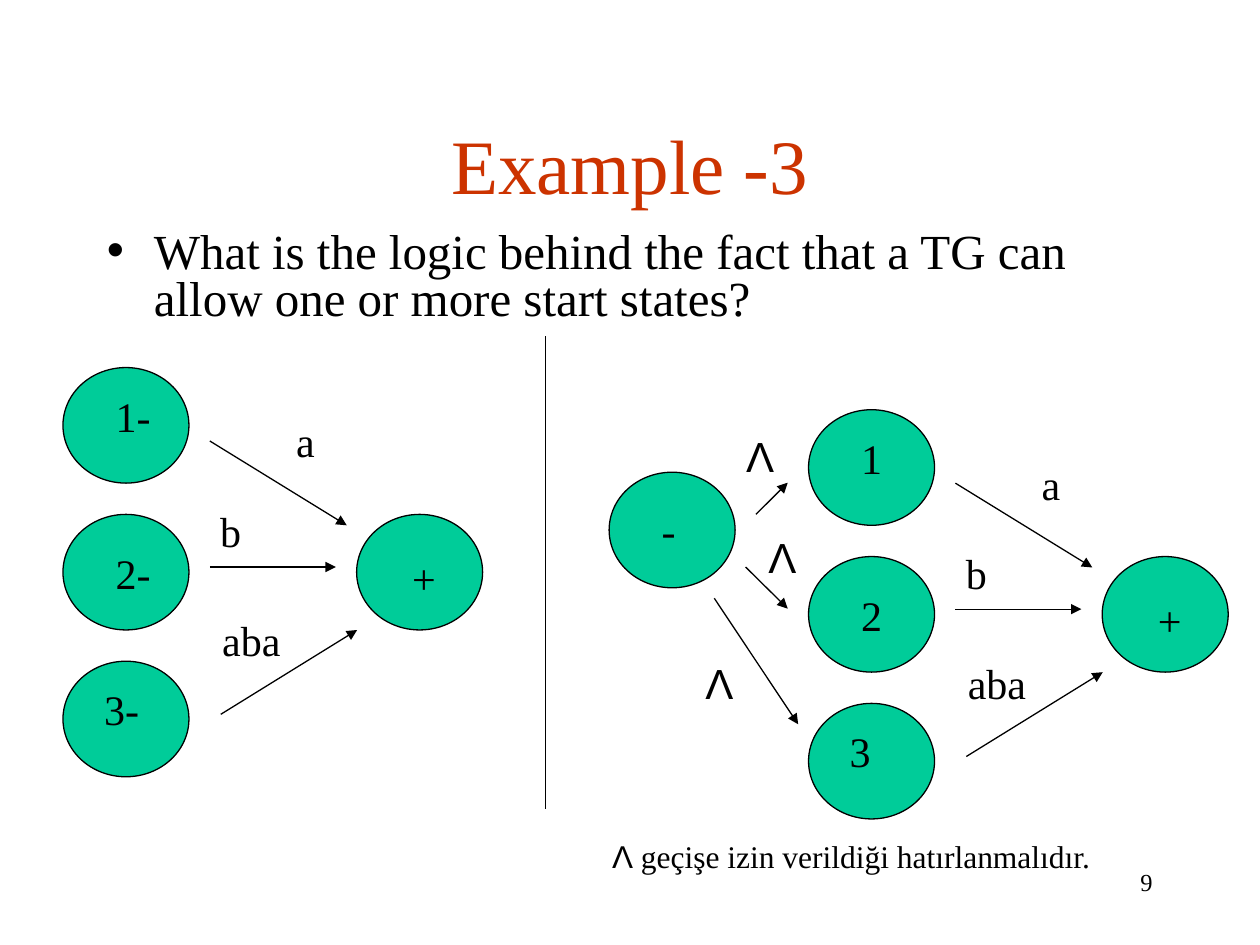
from dataclasses import dataclass

from lxml.etree import SubElement
from pptx import Presentation
from pptx.dml.color import RGBColor
from pptx.enum.shapes import MSO_CONNECTOR, MSO_SHAPE
from pptx.enum.text import MSO_ANCHOR, MSO_AUTO_SIZE, PP_ALIGN
from pptx.oxml.ns import qn
from pptx.util import Cm, Pt


@dataclass(frozen=True)
class Theme:
    """Colours, fonts and type sizes of the slide."""
    ink: str = "000000"
    heading: str = "CC3300"
    state: str = "00CC99"
    serif: str = "Times New Roman"
    sans: str = "Arial"
    title: int = 44
    body: int = 28
    label: int = 24
    note: int = 18
    number: int = 14
    stroke: float = 0.75


THEME = Theme()
STATE_SIZE = (2.54, 2.33)
STATE_STEP = 2.96
LABEL_HEIGHT = 1.27
GLYPH_WIDTHS = {"-": 0.28, "+": 0.48, "a": 0.38, "Λ": 0.57}


def apply(target, values):
    """Set every attribute named in values on target."""
    for name, value in values.items():
        setattr(target, name, value)


def add_run(paragraph, text, size, color=THEME.ink, face=THEME.serif):
    """Append a formatted run to a paragraph."""
    run = paragraph.add_run()
    run.text = text
    apply(run.font, {"size": Pt(size), "name": face})
    run.font.color.rgb = RGBColor.from_string(color)


def place(shape, box):
    """Move a placeholder to a box given in centimetres."""
    apply(shape, dict(zip(("left", "top", "width", "height"), map(Cm, box))))


def add_text(slide, box, runs, wrap=False, align=PP_ALIGN.LEFT):
    """Add a text box holding one paragraph of (text, size, face) runs."""
    frame = slide.shapes.add_textbox(*map(Cm, box)).text_frame
    fit = MSO_AUTO_SIZE.NONE if wrap else MSO_AUTO_SIZE.SHAPE_TO_FIT_TEXT
    apply(frame, {"word_wrap": wrap, "auto_size": fit})
    paragraph = frame.paragraphs[0]
    paragraph.alignment = align
    for text, size, face in runs:
        add_run(paragraph, text, size, face=face)


def add_label(slide, origin, x, y, text):
    """Add a state or transition label at an offset from origin."""
    width = 0.51 + sum(GLYPH_WIDTHS.get(glyph, 0.42) for glyph in text)
    face = THEME.sans if text == "Λ" else THEME.serif
    box = (origin[0] + x, origin[1] + y, width, LABEL_HEIGHT)
    add_text(slide, box, [(text, THEME.label, face)])


def add_state(slide, origin, x, y):
    """Add a state ellipse at an offset from origin."""
    box = (origin[0] + x, origin[1] + y, *STATE_SIZE)
    state = slide.shapes.add_shape(MSO_SHAPE.OVAL, *map(Cm, box))
    state.shadow.inherit = False
    state.fill.solid()
    state.fill.fore_color.rgb = RGBColor.from_string(THEME.state)
    state.line.color.rgb = RGBColor.from_string(THEME.ink)
    state.line.width = Pt(THEME.stroke)


def add_line(slide, origin, x1, y1, x2, y2, arrow=True):
    """Add a line between two offsets from origin."""
    left, top = origin
    ends = (left + x1, top + y1, left + x2, top + y2)
    line = slide.shapes.add_connector(MSO_CONNECTOR.STRAIGHT, *map(Cm, ends))
    line.line.color.rgb = RGBColor.from_string(THEME.ink)
    line.line.width = Pt(THEME.stroke)
    if arrow:
        SubElement(line.line._get_or_add_ln(), qn("a:tailEnd"), type="triangle")
    SubElement(line._element.spPr, qn("a:effectLst"))


def add_title(slide, box, text):
    """Fill the title placeholder."""
    title = slide.shapes.title
    place(title, box)
    apply(title.text_frame, {"vertical_anchor": MSO_ANCHOR.MIDDLE,
                             "auto_size": MSO_AUTO_SIZE.NONE})
    paragraph = title.text_frame.paragraphs[0]
    paragraph.alignment = PP_ALIGN.CENTER
    add_run(paragraph, text, THEME.title, THEME.heading)


def add_question(slide, box, text):
    """Fill the body placeholder with one bullet."""
    body = slide.placeholders[1]
    place(body, box)
    body.text_frame.auto_size = MSO_AUTO_SIZE.NONE
    paragraph = body.text_frame.paragraphs[0]
    apply(paragraph, {"line_spacing": 0.8, "space_before": Pt(0)})
    properties = paragraph._p.get_or_add_pPr()
    properties.set("marL", str(Cm(0.95)))
    properties.set("indent", str(Cm(-0.95)))
    SubElement(properties, qn("a:buChar"), char="•")
    add_run(paragraph, text, THEME.body)


def add_transition_graph(slide, origin, state_names):
    """Draw three states leading to one accepting state."""
    for row in range(3):
        add_state(slide, origin, 0, row * STATE_STEP)
    add_state(slide, origin, 2 * STATE_STEP, STATE_STEP)
    for ends in ((2.96, 1.48, 5.72, 3.18), (2.96, 4.02, 5.5, 4.02),
                 (3.18, 6.99, 5.93, 5.29)):
        add_line(slide, origin, *ends)
    name_spots = ((0.81, 0.34), (0.81, 3.5), (0.58, 6.25))
    for spot, name in zip(name_spots, state_names):
        add_label(slide, origin, *spot, name)
    for label in ((6.79, 3.6, "+"), (4.45, 0.85, "a"), (2.92, 2.65, "b"),
                  (2.96, 4.86, "aba")):
        add_label(slide, origin, *label)


def add_start_state(slide, origin):
    """Draw the single start state with its Λ transitions."""
    add_state(slide, origin, 0, 0)
    add_label(slide, origin, 0.81, 0.53, "-")
    for ends in ((2.96, 0.85, 3.6, 0.21), (2.75, 1.91, 3.6, 2.75),
                 (2.12, 2.54, 3.81, 5.08)):
        add_line(slide, origin, *ends)
    for spot in ((2.51, -0.96), (2.96, 1.06), (1.69, 3.6)):
        add_label(slide, origin, *spot, "Λ")


def main():
    """Build and save the slide."""
    deck = Presentation()
    apply(deck, {"slide_width": Cm(25.4), "slide_height": Cm(19.05)})
    slide = deck.slides.add_slide(deck.slide_layouts[1])
    add_title(slide, (1.9, 1.7, 21.6, 3.18), "Example -3")
    add_question(slide, (1.9, 4.55, 21.6, 2.34),
                 "What is the logic behind the fact that a TG can allow "
                 "one or more start states?")
    add_transition_graph(slide, (1.27, 7.41), ("1-", "2-", "3-"))
    add_transition_graph(slide, (16.3, 8.26), ("1", "2", "3"))
    add_start_state(slide, (12.28, 9.52))
    add_line(slide, (11, 6.78), 0, 0, 0, 9.52, arrow=False)
    add_text(slide, (12.09, 16.74, 10.21, 1.02),
             [("Λ", THEME.note, THEME.sans),
              (" geçişe izin verildiği hatırlanmalıdır.", THEME.note, THEME.serif)])
    add_text(slide, (18.21, 17.35, 5.28, 1.27),
             [("9", THEME.number, THEME.serif)], True, PP_ALIGN.RIGHT)
    deck.save("out.pptx")


if __name__ == "__main__":
    main()
